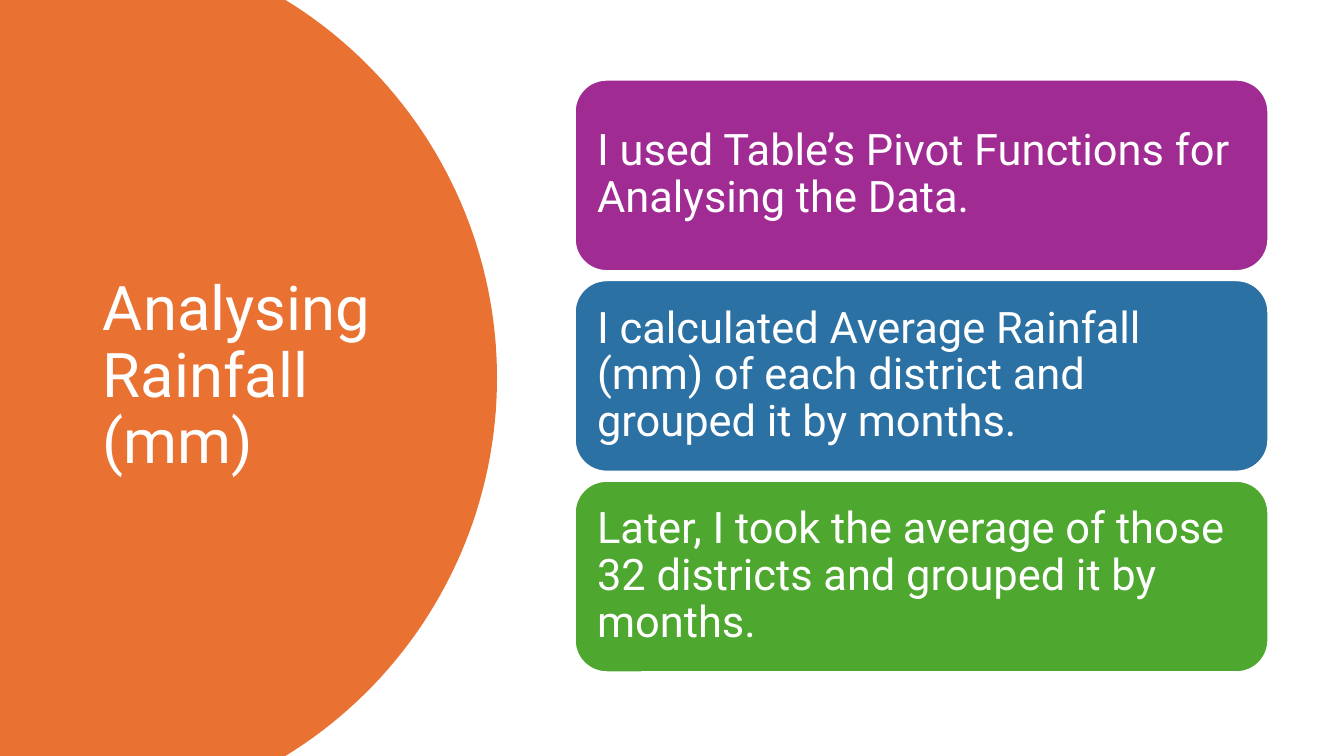
"""Build the rainfall analysis slide."""
import math
from dataclasses import dataclass

from pptx import Presentation
from pptx.dml.color import RGBColor
from pptx.enum import shapes, text
from pptx.util import Inches, Pt


@dataclass(frozen=True)
class Theme:
    """Colours, font and type sizes of the slide."""
    font: str = "Roboto"
    white: str = "FFFFFF"
    orange: str = "E97132"
    purple: str = "A02B93"
    blue: str = "2C71A4"
    green: str = "4EA72E"
    title_size: int = 44
    card_size: int = 31


THEME = Theme()
SLIDE_WIDTH, SLIDE_HEIGHT = 13.33, 7.5
STEPS = [
    ("I used Table’s Pivot Functions for Analysing the Data.", THEME.purple),
    ("I calculated Average Rainfall (mm) of each district and grouped it by months.", THEME.blue),
    ("Later, I took the average of those 32 districts and grouped it by months.", THEME.green),
]


def write(shape, wording, size, color=THEME.white, inset=0.1):
    """Put one left-aligned, vertically centred paragraph into a shape."""
    frame = shape.text_frame
    frame.word_wrap = True
    frame.auto_size = text.MSO_AUTO_SIZE.NONE
    frame.vertical_anchor = text.MSO_ANCHOR.MIDDLE
    frame.margin_left = frame.margin_right = Inches(inset)
    frame.margin_top = frame.margin_bottom = Inches(inset)
    paragraph = frame.paragraphs[0]
    paragraph.alignment = text.PP_ALIGN.LEFT
    paragraph.line_spacing = 0.9
    run = paragraph.add_run()
    run.text = wording
    run.font.name = THEME.font
    run.font.size = Pt(size)
    run.font.color.rgb = RGBColor.from_string(color)


def paint(shape, color):
    """Give a shape a solid fill and no shadow."""
    shape.shadow.inherit = False
    shape.fill.solid()
    shape.fill.fore_color.rgb = RGBColor.from_string(color)


def add_title_panel(slide, left, top, width, height, wording):
    """Draw a panel with a circular right edge and set the title on it."""
    radius, half = 4.4, height / 2
    center = left + width - radius
    sweep, steps = math.asin(half / radius), 80
    angles = [sweep * (2 * step / steps - 1) for step in range(steps + 1)]
    arc = [(Inches(center + radius * math.cos(angle)),
            Inches(top + half + radius * math.sin(angle)))
           for angle in angles]
    builder = slide.shapes.build_freeform(Inches(left), Inches(top))
    builder.add_line_segments(arc + [(Inches(left), Inches(top + height))], close=True)
    panel = builder.convert_to_shape()
    paint(panel, THEME.orange)
    panel.line.fill.background()

    title = slide.shapes.title
    panel.element.addnext(title.element)
    title.left, title.top = Inches(left + 0.92), Inches(top + 0.7)
    title.width, title.height = Inches(3.23), Inches(6.09)
    write(title, wording, THEME.title_size)


def add_step_cards(slide, left, top, width, height, steps, gap=0.09):
    """Stack equal rounded cards, one for each step, in the given box."""
    card_height = (height - gap * (len(steps) - 1)) / len(steps)
    for index, (wording, color) in enumerate(steps):
        card = slide.shapes.add_shape(
            shapes.MSO_SHAPE.ROUNDED_RECTANGLE,
            Inches(left), Inches(top + index * (card_height + gap)),
            Inches(width), Inches(card_height))
        paint(card, color)
        card.line.color.rgb = RGBColor.from_string(THEME.white)
        card.line.width = Pt(1.5)
        write(card, wording, THEME.card_size, inset=0.13)


def main():
    """Create the presentation and save it."""
    presentation = Presentation()
    presentation.slide_width = Inches(SLIDE_WIDTH)
    presentation.slide_height = Inches(SLIDE_HEIGHT)
    slide = presentation.slides.add_slide(presentation.slide_layouts[5])
    add_title_panel(slide, 0, 0, 4.93, SLIDE_HEIGHT, "Analysing Rainfall (mm)")
    add_step_cards(slide, 5.7, 0.79, 6.88, 5.88, STEPS)
    presentation.save("out.pptx")


if __name__ == "__main__":
    main()
